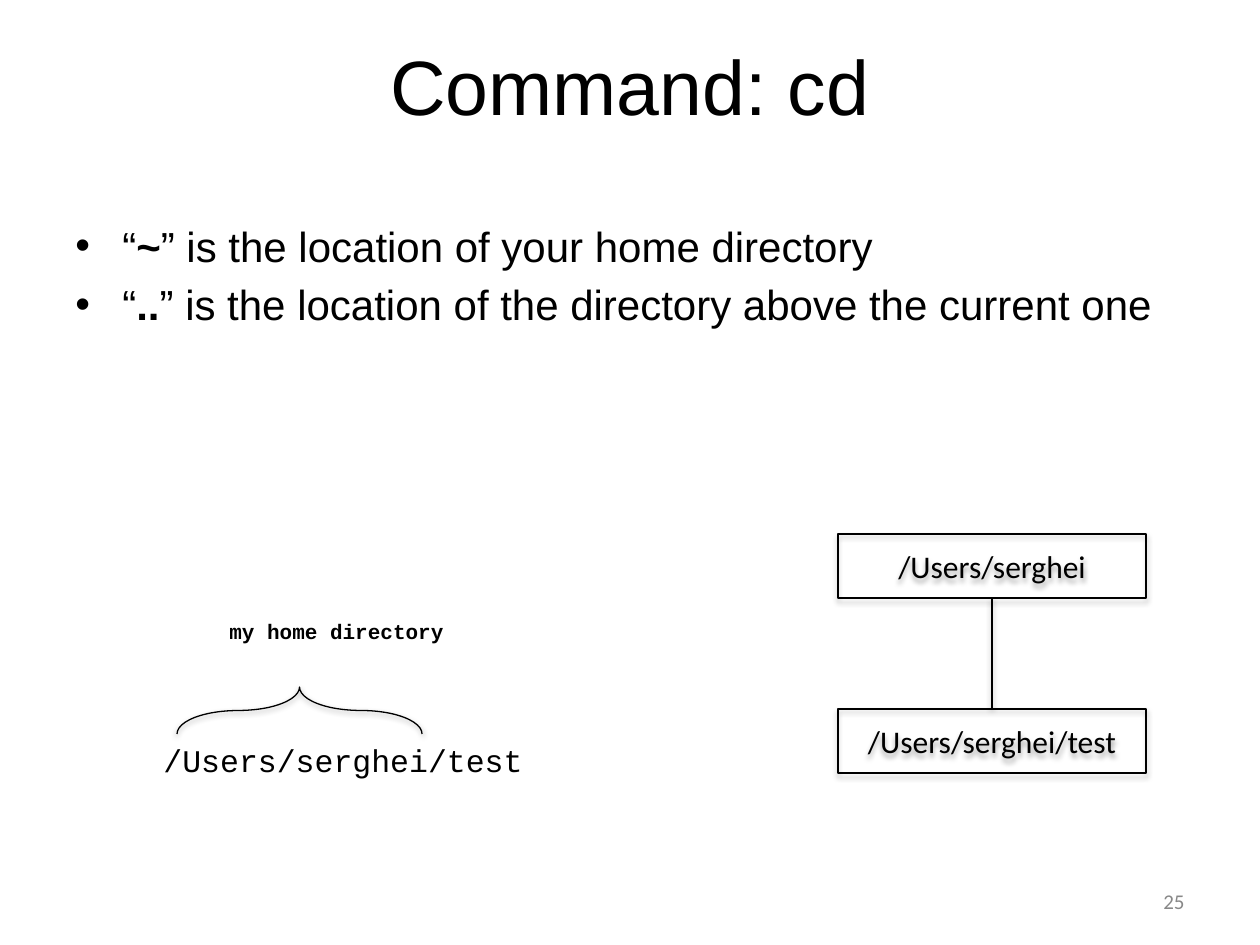
from lxml import etree
from pptx import Presentation
from pptx import util as u
from pptx.dml.color import RGBColor
from pptx.enum import shapes, text
from pptx.oxml import ns

PX = 914400 / 126
BLACK = RGBColor(0x00, 0x00, 0x00)
GRAY = RGBColor(0x88, 0x88, 0x88)
ALIGN = text.PP_ALIGN
ANCHOR = text.MSO_ANCHOR


def write(shape, paragraphs, size, font="Arial", color=BLACK, align=ALIGN.LEFT,
          anchor=ANCHOR.TOP, wrap=True, bullet=None):
    """Fill a shape with paragraphs, each a list of (words, bold) runs."""
    frame = shape.text_frame
    frame.word_wrap = wrap
    frame.vertical_anchor = anchor
    for index, runs in enumerate(paragraphs):
        paragraph = frame.add_paragraph() if index else frame.paragraphs[0]
        paragraph.alignment = align
        if bullet:
            properties = paragraph._p.get_or_add_pPr()
            indent = round(47 * PX)
            properties.set("marL", str(indent))
            properties.set("indent", str(-indent))
            bullet_color = etree.SubElement(properties, ns.qn("a:buClr"))
            etree.SubElement(bullet_color, ns.qn("a:srgbClr"), val=str(color))
            etree.SubElement(properties, ns.qn("a:buFont"), typeface="Arial")
            etree.SubElement(properties, ns.qn("a:buChar"), char=bullet)
        if index:
            paragraph.space_before = u.Pt(4.8)
        for words, bold in runs:
            run = paragraph.add_run()
            run.text = words
            run.font.size = u.Pt(size)
            run.font.name = font
            run.font.bold = bold
            run.font.color.rgb = color


def outline(shape, opacity, distance):
    """Give a thin black line and a soft shadow straight below."""
    shape.line.color.rgb = BLACK
    shape.line.width = u.Pt(0.75)
    effects = etree.SubElement(shape._element.spPr, ns.qn("a:effectLst"))
    shadow = etree.SubElement(effects, ns.qn("a:outerShdw"), blurRad=str(u.Pt(3.1)),
                              dist=str(u.Pt(distance)), dir="5400000", rotWithShape="0")
    shadow_color = etree.SubElement(shadow, ns.qn("a:srgbClr"), val=str(BLACK))
    etree.SubElement(shadow_color, ns.qn("a:alpha"), val=str(opacity * 1000))


presentation = Presentation()
presentation.slide_width = u.Inches(10)
presentation.slide_height = u.Inches(7.5)
slide = presentation.slides.add_slide(presentation.slide_layouts[6])

# Text: left, top, width, height, paragraphs, format
texts = [
    (63, 6, 1134, 158, [[("Command: cd", False)]],
     dict(size=44, align=ALIGN.CENTER, anchor=ANCHOR.MIDDLE)),
    (63, 214, 1134, 241,
     [[("“", False), ("~", True), ("” is the location of your home directory", False)],
      [("“", False), ("..", True),
       ("” is the location of the directory above the current one", False)]],
     dict(size=24, bullet="•")),
    (151, 735, 522, 50, [[("/Users/serghei/test", False)]],
     dict(size=18, font="Courier New")),
    (217, 612, 242, 38, [[("my home directory", True)]],
     dict(size=12, font="Courier New", wrap=False)),
    (903, 876, 294, 50, [[("25", False)]],
     dict(size=12, font="Calibri", color=GRAY, align=ALIGN.RIGHT, anchor=ANCHOR.MIDDLE)),
]
for left, top, width, height, paragraphs, style in texts:
    box = slide.shapes.add_textbox(*(round(v * PX) for v in (left, top, width, height)))
    write(box, paragraphs, **style)

# Directory tree
NODE_LEFT, NODE_WIDTH, NODE_HEIGHT = 838, 308, 64
PARENT_TOP, CHILD_TOP = 534, 709
for top, directory in ((PARENT_TOP, "/Users/serghei"), (CHILD_TOP, "/Users/serghei/test")):
    node = slide.shapes.add_shape(
        shapes.MSO_SHAPE.RECTANGLE,
        *(round(v * PX) for v in (NODE_LEFT, top, NODE_WIDTH, NODE_HEIGHT)))
    node.fill.background()
    outline(node, opacity=35, distance=1.8)
    write(node, [[(directory, False)]], 18, font="Calibri",
          align=ALIGN.CENTER, anchor=ANCHOR.MIDDLE)

middle = NODE_LEFT + NODE_WIDTH // 2
branch = slide.shapes.add_connector(
    shapes.MSO_CONNECTOR.STRAIGHT,
    *(round(v * PX) for v in (middle, PARENT_TOP + NODE_HEIGHT, middle, CHILD_TOP)))
outline(branch, opacity=38, distance=1.6)

# Brace over the home directory part
brace = slide.shapes.add_shape(shapes.MSO_SHAPE.LEFT_BRACE,
                               *(round(v * PX) for v in (276, 588, 47, 245)))
brace.rotation = 90
brace.adjustments[0] = 1.77
brace.adjustments[1] = 0.5
brace.fill.background()
outline(brace, opacity=38, distance=1.6)

presentation.save("out.pptx")
